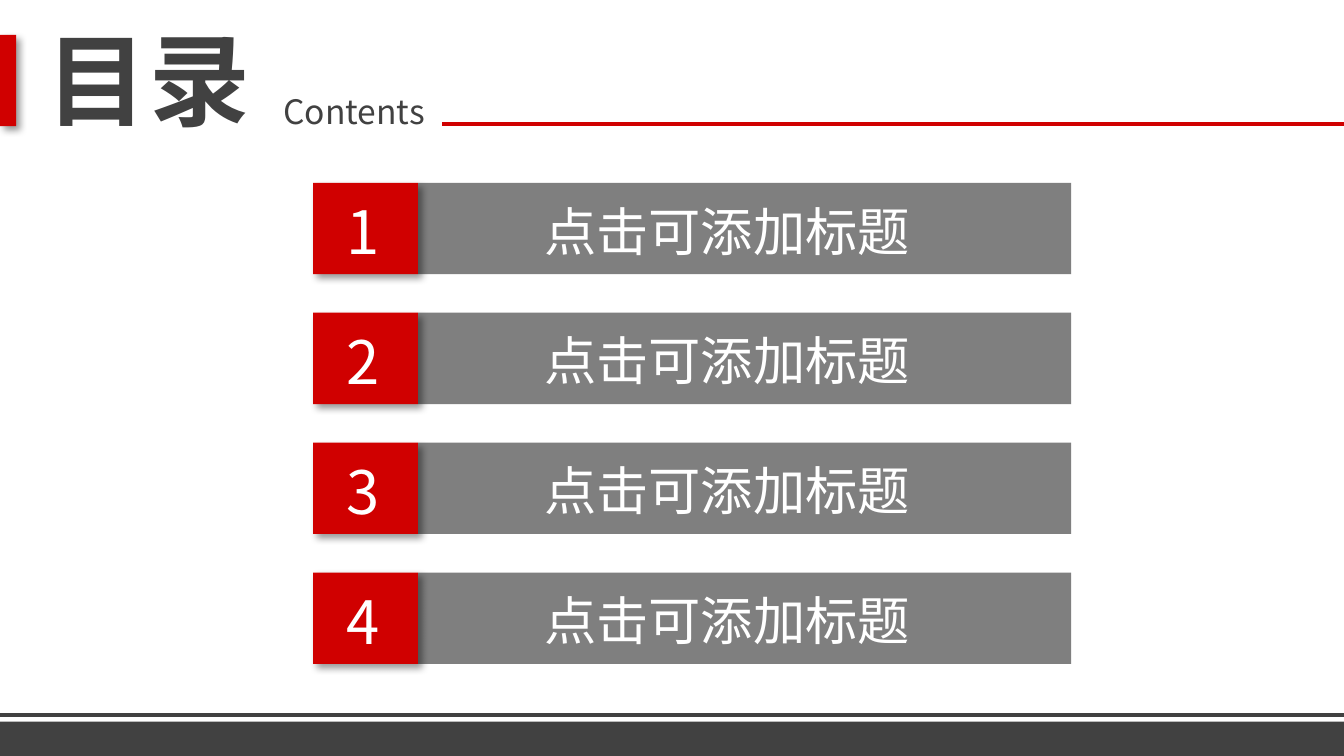
from lxml import etree
from pptx import Presentation
from pptx.dml.color import RGBColor
from pptx.enum.shapes import MSO_CONNECTOR, MSO_SHAPE
from pptx.enum.text import MSO_AUTO_SIZE, PP_ALIGN
from pptx.oxml import parse_xml
from pptx.oxml.ns import qn
from pptx.util import Inches, Pt

RECTANGLE = MSO_SHAPE.RECTANGLE
STRAIGHT = MSO_CONNECTOR.STRAIGHT
CENTER = PP_ALIGN.CENTER
GROW = MSO_AUTO_SIZE.SHAPE_TO_FIT_TEXT

FONT = "Noto Sans CJK SC"
RED, DARK, GRAY, WHITE = "D00000", "414141", "7F7F7F", "FFFFFF"
SHADOW = (
    '<a:outerShdw xmlns:a="http://schemas.openxmlformats.org/drawingml/2006/main" '
    'blurRad="50800" dist="38100" dir="2700000" algn="tl" rotWithShape="0">'
    '<a:srgbClr val="000000"><a:alpha val="40000"/></a:srgbClr></a:outerShdw>'
)
color = RGBColor.from_string


def add_text(shapes, text, box, *, size, fill, bold=False, wrap=True, spacing=None):
    label = shapes.add_textbox(*map(Inches, box))
    frame = label.text_frame
    frame.word_wrap = wrap
    frame.auto_size = GROW
    paragraph = frame.paragraphs[0]
    paragraph.alignment = CENTER
    run = paragraph.add_run()
    run.text = text
    run.font.size = Pt(size)
    run.font.bold = bold
    run.font.name = FONT
    run.font.color.rgb = color(fill)
    properties = run.font._element
    etree.SubElement(properties, qn("a:ea")).set("typeface", FONT)
    if spacing:
        properties.set("spc", str(round(spacing * 100)))


def add_block(shapes, box, fill, shadow=False):
    block = shapes.add_shape(RECTANGLE, *map(Inches, box))
    block.shadow.inherit = False
    block.fill.solid()
    block.fill.fore_color.rgb = color(fill)
    block.line.fill.background()
    if shadow:
        block._element.spPr.find(qn("a:effectLst")).append(parse_xml(SHADOW))


prs = Presentation()
prs.slide_width = Inches(10)
prs.slide_height = Inches(10) * 9 // 16
slide = prs.slides.add_slide(prs.slide_layouts[6])
shapes = slide.shapes

add_text(shapes, "目录", (0.22, 0.08, 1.77, 1.01),
         size=54, fill=DARK, bold=True, wrap=False, spacing=1.7)
add_block(shapes, (0, 0.26, 0.12, 0.68), RED, shadow=True)
add_text(shapes, "Contents", (1.26, 0.63, 2.75, 0.4), size=18, fill=DARK)
add_block(shapes, (0, 5.37, 10.02, 0.26), DARK)

for start, end, y, stroke in [(10.02, 0, 5.32, DARK), (10, 3.29, 0.92, RED)]:
    rule = shapes.add_connector(STRAIGHT, Inches(start), Inches(y), Inches(end), Inches(y))
    rule.line.color.rgb = color(stroke)
    rule.line.width = Pt(2.25)
    etree.SubElement(rule._element.spPr, qn("a:effectLst"))

titles = ["点击可添加标题"] * 4
first_top, last_top = 1.36, 4.26
pitch = (last_top - first_top) / (len(titles) - 1)
for index, title in enumerate(titles):
    top = first_top + index * pitch
    bar = shapes.add_group_shape().shapes
    add_block(bar, (3.11, top, 4.86, 0.68), GRAY)
    add_text(bar, title, (3.89, top + 0.07, 3.04, 0.57), size=28, fill=WHITE)
    badge = shapes.add_group_shape().shapes
    add_block(badge, (2.33, top, 0.78, 0.68), RED, shadow=True)
    add_text(badge, str(index + 1), (2.48, top + 0.04, 0.45, 0.64), size=32, fill=WHITE)

prs.save("out.pptx")
